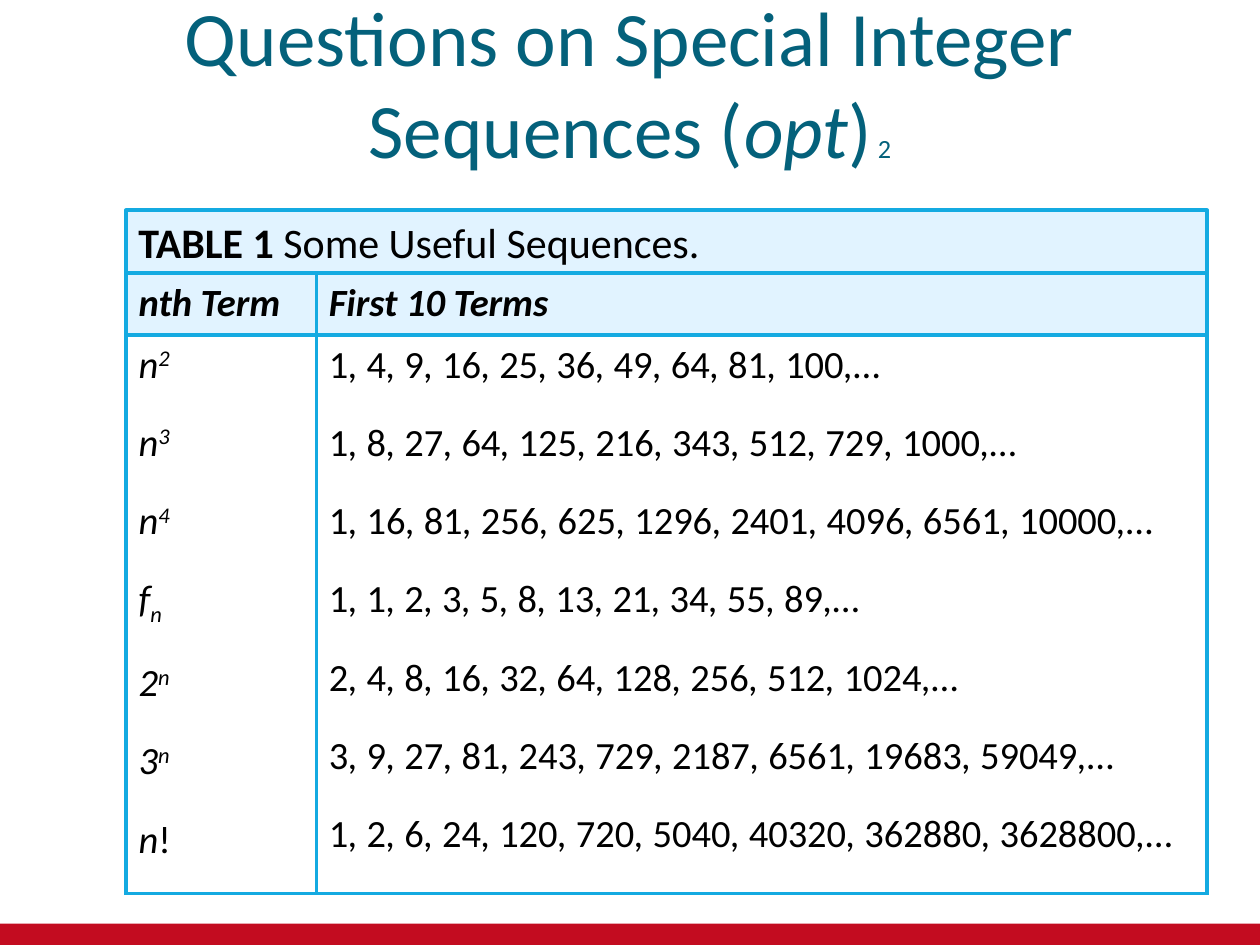
"""Build the slide on special integer sequences."""
from dataclasses import dataclass

import pptx
import pptx.dml.color
import pptx.enum.shapes
import pptx.enum.text
import pptx.oxml
import pptx.oxml.ns
import pptx.util

Pt = pptx.util.Pt


@dataclass(frozen=True)
class Theme:
    """Colours, font and type sizes of the slide."""
    font: str = "Calibri"
    title: str = "04617B"
    ink: str = "000000"
    band: str = "C30C20"
    tint: str = "E1F3FF"
    rule: str = "14AAE1"
    rule_width: float = 2.25
    title_size: int = 44
    number_size: int = 15
    caption_size: int = 24
    table_size: int = 22


THEME = Theme()
SEQUENCES = [
    ([("n", True, 0), ("2", True, 30)], "1, 4, 9, 16, 25, 36, 49, 64, 81, 100"),
    ([("n", True, 0), ("3", True, 30)], "1, 8, 27, 64, 125, 216, 343, 512, 729, 1000"),
    ([("n", True, 0), ("4", True, 30)], "1, 16, 81, 256, 625, 1296, 2401, 4096, 6561, 10000"),
    ([("f", True, 0), ("n", True, -25)], "1, 1, 2, 3, 5, 8, 13, 21, 34, 55, 89"),
    ([("2", True, 0), ("n", True, 30)], "2, 4, 8, 16, 32, 64, 128, 256, 512, 1024"),
    ([("3", True, 0), ("n", True, 30)], "3, 9, 27, 81, 243, 729, 2187, 6561, 19683, 59049"),
    ([("n", True, 0), ("!", False, 0)], "1, 2, 6, 24, 120, 720, 5040, 40320, 362880, 3628800"),
]


def rgb(color):
    """Turn a hex string into a colour."""
    return pptx.dml.color.RGBColor.from_string(color)


def add_run(p, text, size=THEME.table_size, color=THEME.ink, bold=False, italic=False, baseline=0):
    """Add one formatted run to a paragraph."""
    r = p.add_run()
    r.text = text
    r.font.name = THEME.font
    r.font.size = Pt(size)
    r.font.bold = bold
    r.font.italic = italic
    r.font.color.rgb = rgb(color)
    if baseline:
        r._r.get_or_add_rPr().set("baseline", str(baseline * 1000))


def add_box(s, left, top, width, height, fill, line=None):
    """Add a flat rectangle and return it."""
    sp = s.shapes.add_shape(pptx.enum.shapes.MSO_SHAPE.RECTANGLE,
                            Pt(left), Pt(top), Pt(width), Pt(height))
    sp.shadow.inherit = False
    sp.fill.solid()
    sp.fill.fore_color.rgb = rgb(fill)
    if line:
        sp.line.color.rgb = rgb(line)
        sp.line.width = Pt(THEME.rule_width)
    else:
        sp.line.fill.background()
    return sp


def add_title(s):
    """Add the centred title with its small part number."""
    tf = s.shapes.add_textbox(0, 0, Pt(720), Pt(93.6)).text_frame
    tf.word_wrap = True
    tf.margin_left = tf.margin_right = Pt(18)
    tf.vertical_anchor = pptx.enum.text.MSO_ANCHOR.MIDDLE
    p = tf.paragraphs[0]
    p.alignment = pptx.enum.text.PP_ALIGN.CENTER
    for text, italic in [("Questions on Special Integer Sequences (", False),
                         ("opt", True), (")", False)]:
        add_run(p, text, size=THEME.title_size, color=THEME.title, italic=italic)
    add_run(p, " 2", size=THEME.number_size, color=THEME.title)


def add_caption(s):
    """Add the tinted caption bar above the table."""
    tf = add_box(s, 72, 120.24, 617.76, 36, THEME.tint, THEME.rule).text_frame
    tf.word_wrap = True
    tf.vertical_anchor = pptx.enum.text.MSO_ANCHOR.TOP
    p = tf.paragraphs[0]
    p.alignment = pptx.enum.text.PP_ALIGN.LEFT
    p.space_after = Pt(6)
    add_run(p, "TABLE 1 ", size=THEME.caption_size, bold=True)
    add_run(p, "Some Useful Sequences.", size=THEME.caption_size)


def style_cell(cell, fill=None):
    """Set the fill and the four borders of a cell."""
    tcPr = cell._tc.get_or_add_tcPr()
    for side in ("lnL", "lnR", "lnT", "lnB"):
        tcPr.append(pptx.oxml.parse_xml(
            f'<a:{side} {pptx.oxml.ns.nsdecls("a")} w="{Pt(THEME.rule_width)}">'
            f'<a:solidFill><a:srgbClr val="{THEME.rule}"/></a:solidFill></a:{side}>'))
    if fill:
        cell.fill.solid()
        cell.fill.fore_color.rgb = rgb(fill)
    else:
        cell.fill.background()


def sequence_paragraph(tf, index):
    """Return the spaced paragraph for one sequence."""
    p = tf.add_paragraph() if index else tf.paragraphs[0]
    p.space_before = Pt(12)
    p.space_after = Pt(6)
    return p


def add_sequences(s):
    """Add the table of terms and their first values."""
    table = s.shapes.add_table(2, 2, Pt(72), Pt(156.24), Pt(617.76), Pt(354.24)).table
    table.first_row = table.horz_banding = False
    for column, width in zip(table.columns, (108.72, 509.04)):
        column.width = Pt(width)
    for row, height in zip(table.rows, (35.28, 318.96)):
        row.height = Pt(height)
    for i, heading in enumerate(("nth Term", "First 10 Terms")):
        cell = table.cell(0, i)
        style_cell(cell, THEME.tint)
        style_cell(table.cell(1, i))
        add_run(cell.text_frame.paragraphs[0], heading, bold=True, italic=True)
    names, values = (table.cell(1, i).text_frame for i in range(2))
    for i, (name, terms) in enumerate(SEQUENCES):
        p = sequence_paragraph(names, i)
        for text, italic, baseline in name:
            add_run(p, text, italic=italic, baseline=baseline)
        p = sequence_paragraph(values, i)
        *first, last = terms.split(", ")
        for term in first:
            add_run(p, term)
            add_run(p, ", ", italic=True)
        add_run(p, last)
        add_run(p, ",", italic=True)
        add_run(p, "…")


def main():
    """Build and save the slide."""
    prs = pptx.Presentation()
    prs.slide_width, prs.slide_height = Pt(720), Pt(540)
    s = prs.slides.add_slide(prs.slide_layouts[6])
    add_box(s, 0, 527.76, 720, 12.24, THEME.band)
    add_title(s)
    add_caption(s)
    add_sequences(s)
    prs.save("out.pptx")


if __name__ == "__main__":
    main()
